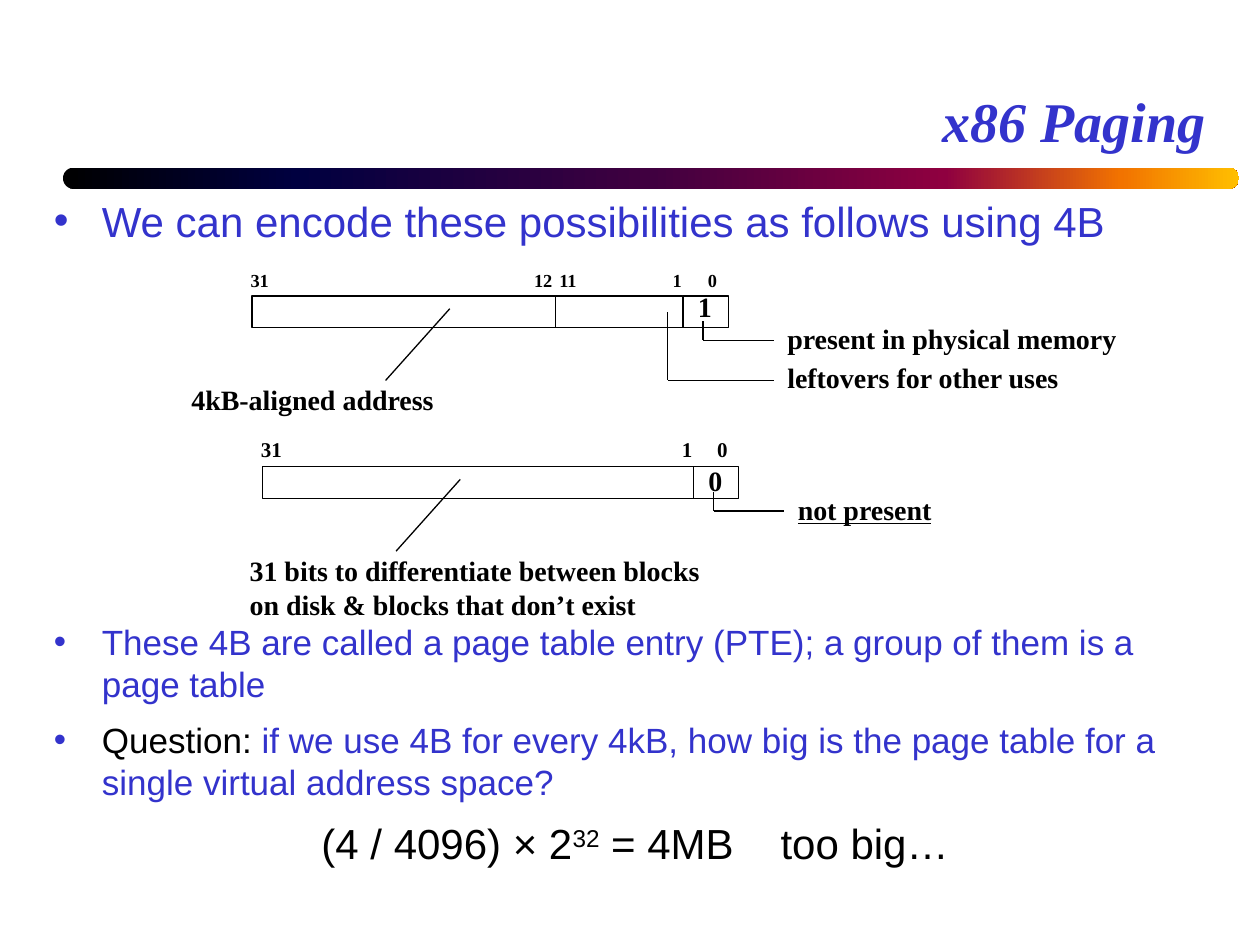
from dataclasses import dataclass
from itertools import pairwise

from lxml.etree import SubElement
from pptx import Presentation
from pptx.dml.color import RGBColor
from pptx.enum.shapes import MSO_CONNECTOR, MSO_SHAPE
from pptx.enum.text import MSO_ANCHOR, MSO_AUTO_SIZE, PP_ALIGN
from pptx.oxml.ns import qn
from pptx.util import Inches, Pt

COLS, ROWS = 100, 75
WIDTH, HEIGHT = Inches(10), Inches(7.5)
Point = tuple[float, float]


@dataclass(frozen=True)
class Theme:
    ink: str = "000000"
    accent: str = "3333CC"
    serif: str = "Times New Roman"
    sans: str = "Arial"
    title: float = 32
    lead: float = 24
    body: float = 20
    note: float = 16
    line: float = 0.75
    bar: tuple = ((0, "000000"), (20, "000040"), (50, "400040"),
                  (75, "8F0040"), (90, "F27300"), (100, "FFBF00"))


T = Theme()


@dataclass(frozen=True)
class Label:
    text: str
    x: float
    y: float
    w: float
    h: float = 3.7
    size: float = T.note
    align: PP_ALIGN = PP_ALIGN.LEFT
    underline: bool = False


@dataclass(frozen=True)
class Entry:
    """A page table entry; everything in it is placed from its top left corner."""
    x: float
    y: float
    fields: tuple[float, ...]
    ticks: tuple[tuple[str, float], ...]
    tick_size: float
    tick_y: float
    labels: tuple[Label, ...]
    leaders: tuple[tuple[Point, ...], ...]


FIELD_HEIGHT = 2.5
ADDRESS_LEADER = ((15.7, 1), (10.6, 6.7))
FLAG_LEADER = ((35.8, 2), (35.8, 3.5), (41.4, 3.5))

ENTRIES = (
    Entry(20, 23.5, (24.1, 10.1, 3.6),
          (("31", -1.1), ("12", 21.4), ("11", 23.4), ("1", 32.4), ("0", 35.2)),
          10.5, -2.65,
          (Label("1", 34.4, -1, 3.1),
           Label("present in physical memory", 41.5, 1.5, 28.5),
           Label("leftovers for other uses", 41.5, 4.65, 23.9),
           Label("4kB-aligned address", -5.8, 6.4, 21.5)),
          (ADDRESS_LEADER, FLAG_LEADER,
           ((33, 1.3), (33, 6.7), (41.4, 6.7)))),
    Entry(20.83, 37.05, (34.2, 3.6),
          (("31", -1.1), ("1", 32.3), ("0", 35.1)),
          12, -2.9,
          (Label("0", 34.4, -0.75, 3.1),
           Label("not present", 41.5, 1.55, 12.8, underline=True),
           Label("31 bits to differentiate between blocks\n"
                 "on disk & blocks that don’t exist", -2, 6.4, 38.3, 6.4)),
          (ADDRESS_LEADER, FLAG_LEADER)),
)


def col(n: float) -> int:
    return round(WIDTH * n / COLS)


def row(n: float) -> int:
    return round(HEIGHT * n / ROWS)


def style(r, size: float, font: str, color: str) -> None:
    r.font.size, r.font.name = Pt(size), font
    r.font.color.rgb = RGBColor.from_string(color)


def add_text(s, x: float, y: float, w: float, h: float):
    tf = s.shapes.add_textbox(col(x), row(y), col(w), row(h)).text_frame
    tf.word_wrap = True
    return tf


def add_bar(s) -> None:
    sp = s.shapes.add_shape(MSO_SHAPE.ROUNDED_RECTANGLE,
                            col(5), row(13.3), col(93.33), row(1.7))
    sp.adjustments[0] = 0.5
    sp.shadow.inherit = False
    sp.line.fill.background()
    sp.fill.gradient()
    sp.fill.gradient_angle = 0
    stops = sp.element.spPr.find(".//" + qn("a:gsLst"))
    stops.clear()
    for share, color in T.bar:
        gs = SubElement(stops, qn("a:gs"), pos=str(share * 1000))
        SubElement(gs, qn("a:srgbClr"), val=color)


def add_label(s, label: Label, x: float, y: float) -> None:
    tf = add_text(s, x + label.x, y + label.y, label.w, label.h)
    tf.word_wrap = False
    tf.auto_size = MSO_AUTO_SIZE.SHAPE_TO_FIT_TEXT
    tf.text = label.text
    for p in tf.paragraphs:
        p.alignment = label.align
        for r in p.runs:
            style(r, label.size, T.serif, T.ink)
            r.font.bold, r.font.underline = True, label.underline


def add_leader(s, points: tuple[Point, ...], x: float, y: float) -> None:
    for (x1, y1), (x2, y2) in pairwise(points):
        c = s.shapes.add_connector(MSO_CONNECTOR.STRAIGHT, col(x + x1), row(y + y1),
                                   col(x + x2), row(y + y2))
        c.line.width = Pt(T.line)
        c.line.color.rgb = RGBColor.from_string(T.ink)
        SubElement(c.element.spPr, qn("a:effectLst"))


def tick_width(text: str, size: float) -> float:
    """Columns for the digits, half an em each, and the side insets."""
    return 2.1 + 0.07 * size * len(text)


def add_entry(s, e: Entry) -> None:
    left = e.x
    for width in e.fields:
        sp = s.shapes.add_shape(MSO_SHAPE.RECTANGLE, col(left), row(e.y),
                                col(width), row(FIELD_HEIGHT))
        sp.shadow.inherit = False
        sp.fill.background()
        sp.line.width = Pt(T.line)
        sp.line.color.rgb = RGBColor.from_string(T.ink)
        left += width
    ticks = tuple(Label(text, x, e.tick_y, tick_width(text, e.tick_size), 2.8, e.tick_size)
                  for text, x in e.ticks)
    for label in ticks + e.labels:
        add_label(s, label, e.x, e.y)
    for points in e.leaders:
        add_leader(s, points, e.x, e.y)


def add_paragraph(p, parts: tuple[tuple[str, str], ...], size: float,
                  bullet: bool = True) -> None:
    """Fill p with (text, colour) parts, spaced by a fifth of the type size."""
    p.space_before = p.space_after = Pt(size / 5)
    for text, color in parts:
        r = p.add_run()
        r.text = text
        style(r, size, T.sans, color)
    if bullet:
        pPr = p._p.get_or_add_pPr()
        pPr.set("marL", str(Inches(0.38)))
        pPr.set("indent", str(-Inches(0.38)))
        color = SubElement(pPr, qn("a:buClr"))
        SubElement(color, qn("a:srgbClr"), val=T.accent)
        SubElement(pPr, qn("a:buFont"), typeface=T.sans)
        SubElement(pPr, qn("a:buChar"), char="•")


def add_body(s) -> None:
    lead = add_text(s, 3.3, 15, 94.2, 4.8)
    add_paragraph(lead.paragraphs[0], (
        ("We can encode these possibilities as follows using 4B", T.accent),), T.lead)
    tf = add_text(s, 3.3, 48.75, 94.2, 19.8)
    add_paragraph(tf.paragraphs[0], (
        ("These 4B are called a page table entry (PTE); "
         "a group of them is a page table", T.accent),), T.body)
    add_paragraph(tf.add_paragraph(), (
        ("Question: ", T.ink),
        ("if we use 4B for every 4kB, how big is the page table "
         "for a single virtual address space?", T.accent)), T.body)
    p = tf.add_paragraph()
    p.alignment = PP_ALIGN.CENTER
    add_paragraph(p, tuple((text, T.ink) for text in (
        "(4 / 4096) × 2", "32", " = 4MB", " ", "too big…")), T.lead, bullet=False)
    p.runs[1].font._element.set("baseline", "30000")
    p.runs[3].font._element.set("spc", "2000")


def add_title(s) -> None:
    tf = add_text(s, 5, 3.3, 91.7, 9.4)
    tf.vertical_anchor = MSO_ANCHOR.BOTTOM
    tf.text = "x86 Paging"
    p = tf.paragraphs[0]
    p.alignment = PP_ALIGN.RIGHT
    style(p.runs[0], T.title, T.serif, T.accent)
    p.runs[0].font.bold = p.runs[0].font.italic = True


def main() -> None:
    prs = Presentation()
    prs.slide_width, prs.slide_height = WIDTH, HEIGHT
    s = prs.slides.add_slide(prs.slide_layouts[6])
    add_bar(s)
    add_title(s)
    add_body(s)
    for entry in ENTRIES:
        add_entry(s, entry)
    prs.save("out.pptx")


if __name__ == "__main__":
    main()
